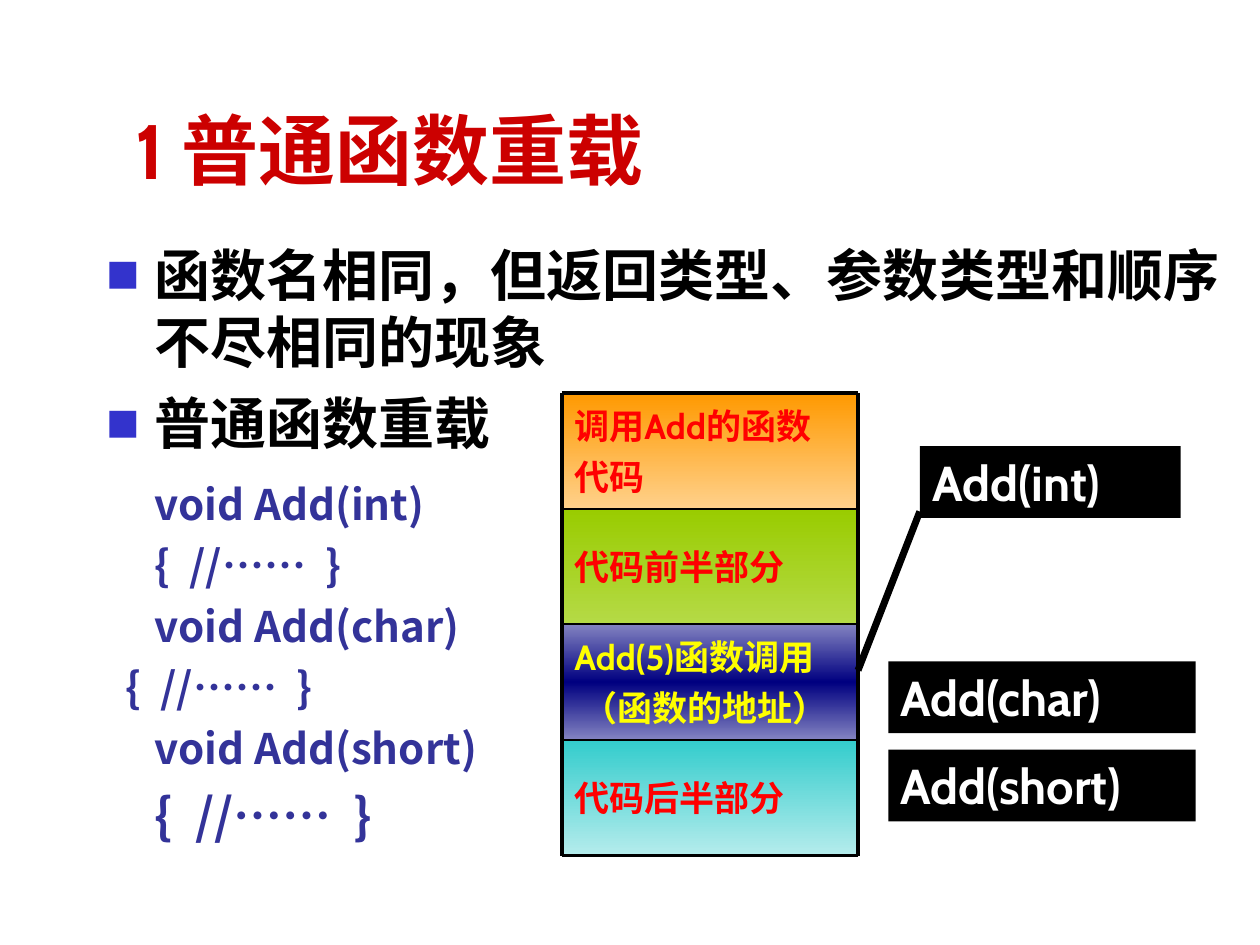
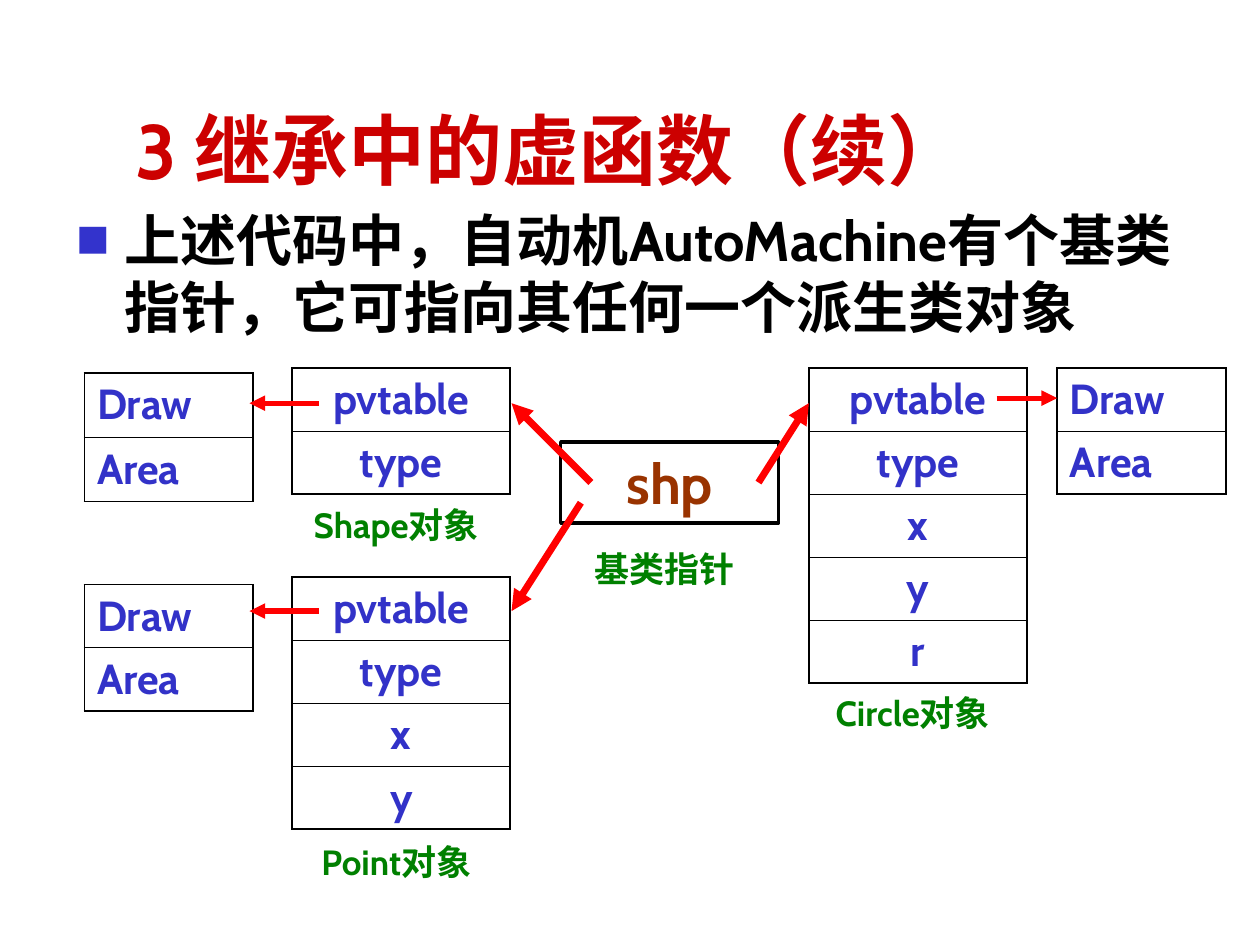
from lxml import etree
from pptx import Presentation
from pptx.dml.color import RGBColor
from pptx.enum.shapes import MSO_CONNECTOR, MSO_SHAPE
from pptx.enum.text import MSO_ANCHOR, PP_ALIGN
from pptx.oxml.ns import qn
from pptx.util import Inches, Pt

RECTANGLE = MSO_SHAPE.RECTANGLE
STRAIGHT = MSO_CONNECTOR.STRAIGHT
TOP, MIDDLE, BOTTOM = MSO_ANCHOR.TOP, MSO_ANCHOR.MIDDLE, MSO_ANCHOR.BOTTOM
LEFT, CENTER, JUSTIFY = PP_ALIGN.LEFT, PP_ALIGN.CENTER, PP_ALIGN.JUSTIFY

LATIN, HAN = "Cabin", "Noto Sans CJK SC"
COLORS = {
    "title": "CC0000", "text": "000000", "bullet": "3333CC", "code": "333399",
    "field": "3232C8", "label": "008000", "pointer": "993300",
    "arrow": "FF0000", "line": "000000", "white": "FFFFFF",
    "red": "FF0000", "yellow": "FFFF00",
}
HANG = 0.38  # inches of hanging indent in the body text


def rgb(name):
    return RGBColor.from_string(COLORS[name])


def style(para, size, color, font=LATIN, align=LEFT, before=0):
    para.alignment = align
    para.space_before = Pt(before)
    for span in para.runs:
        span.font.size = Pt(size)
        span.font.bold = True
        span.font.name = font
        span.font.color.rgb = rgb(color)
        etree.SubElement(span._r.get_or_add_rPr(), qn("a:ea"), typeface=HAN)


def write(frame, text, size, color, align=LEFT, anchor=TOP, before=0):
    frame.word_wrap = True
    frame.vertical_anchor = anchor
    frame.text = text
    for para in frame.paragraphs:
        style(para, size, color, align=align, before=before)


def add_text(page, box, text, size, color, **layout):
    area = page.shapes.add_textbox(*map(Inches, box))
    write(area.text_frame, text, size, color, **layout)


def add_rectangle(page, box):
    shape = page.shapes.add_shape(RECTANGLE, *map(Inches, box))
    shape.shadow.inherit = False
    shape.line.fill.background()
    return shape


def add_line(page, start, end, width, color="line", arrow=False):
    line = page.shapes.add_connector(STRAIGHT, *map(Inches, (*start, *end)))
    line.line.width = Pt(width)
    line.line.color.rgb = rgb(color)
    if arrow:
        etree.SubElement(line.line._get_or_add_ln(), qn("a:tailEnd"), type="triangle")
    etree.SubElement(line._element.spPr, qn("a:effectLst"))


def add_title(page, text):
    add_text(page, (0.98, 0.6, 8.52, 1), text, 44, "title", anchor=BOTTOM)


def indent(para, first_line=0.0):
    properties = para._p.get_or_add_pPr()
    properties.set("marL", str(Inches(HANG)))
    properties.set("indent", str(Inches(first_line)))
    return properties


def add_bullet(para):
    properties = indent(para, -HANG)
    color = etree.SubElement(properties, qn("a:buClr"))
    etree.SubElement(color, qn("a:srgbClr"), val=COLORS["bullet"])
    etree.SubElement(properties, qn("a:buSzPct"), val="60000")
    etree.SubElement(properties, qn("a:buFont"), typeface=HAN)
    etree.SubElement(properties, qn("a:buChar"), char="■")


def add_body(page, box, bullets, font, code=()):
    """Bulleted text, then code lines given as (text, size, space before, first-line indent)."""
    frame = page.shapes.add_textbox(*map(Inches, box)).text_frame
    frame.word_wrap = True
    frame.text = "\n".join([*bullets, *(line[0] for line in code)])
    paragraphs = frame.paragraphs
    for para in paragraphs[:len(bullets)]:
        style(para, 32, "text", font, before=8)
        add_bullet(para)
    for para, (_, size, before, first_line) in zip(paragraphs[len(bullets):], code):
        style(para, size, "code", font, before=before)
        indent(para, first_line)


def fill_gradient(shape, colors):
    """Spread the colours evenly from top to bottom."""
    shape.fill.gradient()
    shape.fill.gradient_angle = 270
    stops = shape._element.spPr.find(".//" + qn("a:gsLst"))
    for stop in list(stops):
        stops.remove(stop)
    for index, color in enumerate(colors):
        position = 100000 * index // (len(colors) - 1)
        stop = etree.SubElement(stops, qn("a:gs"), pos=str(position))
        etree.SubElement(stop, qn("a:srgbClr"), val=color)


def add_code_stack(page, box, segments):
    left, top, width, height = box
    right, bottom = left + width, top + height
    step = height / len(segments)
    for index, (text, color, gradient) in enumerate(segments):
        segment = add_rectangle(page, (left, top + index * step, width, step))
        fill_gradient(segment, gradient)
        write(segment.text_frame, text, 20, color, anchor=MIDDLE, before=5)
    for index in range(len(segments) + 1):
        y = top + index * step
        add_line(page, (left, y), (right, y), 2.25 if index in (0, len(segments)) else 1)
    for x in (left, right):
        add_line(page, (x, top), (x, bottom), 2.25)


def add_function_label(page, box, text):
    label = add_rectangle(page, box)
    label.fill.solid()
    label.fill.fore_color.rgb = rgb("line")
    write(label.text_frame, text, 28, "white", align=JUSTIFY)


def set_border(cell, side, width):
    border = etree.SubElement(cell._tc.get_or_add_tcPr(), qn("a:ln" + side), w=str(Pt(width)))
    fill = etree.SubElement(border, qn("a:solidFill"))
    etree.SubElement(fill, qn("a:srgbClr"), val=COLORS["line"])


def add_field_table(page, left, top, width, fields, align=LEFT, row_height=0.5):
    box = (left, top, width, row_height * len(fields))
    table = page.shapes.add_table(len(fields), 1, *map(Inches, box)).table
    table.first_row = table.horz_banding = False
    last = len(fields) - 1
    for index, field in enumerate(fields):
        cell = table.cell(index, 0)
        write(cell.text_frame, field, 24, "field", align=align)
        cell.vertical_anchor = TOP
        widths = {"L": 1.08, "R": 1.08,
                  "T": 1.08 if index == 0 else 0.45,
                  "B": 1.08 if index == last else 0.45}
        for side, border_width in widths.items():
            set_border(cell, side, border_width)
        cell.fill.background()


def add_caption(page, left, top, text):
    add_text(page, (left, top, 1.81, 0.44), text, 20, "label", align=CENTER)


def add_pointer(page, box):
    pointer = add_rectangle(page, box)
    pointer.fill.background()
    pointer.line.color.rgb = rgb("line")
    pointer.line.width = Pt(2)
    write(pointer.text_frame, "shp", 32, "pointer", align=CENTER)


def build_overloading(page):
    add_title(page, "1 普通函数重载")
    bullets = ["函数名相同，但返回类型、参数类型和顺序不尽相同的现象", "普通函数重载"]
    empty_body = "{  //……  }"
    code = [
        ("void Add(int)", 24, 13, 0), (empty_body, 24, 6, 0),
        ("void Add(char)", 24, 6, 0), (empty_body, 24, 6, -0.23),
        ("void Add(short)", 24, 6, 0), (empty_body, 28, 7, 0),
    ]
    add_body(page, (0.75, 1.86, 9.04, 5.04), bullets, HAN, code)
    add_code_stack(page, (4.46, 3.12, 2.35, 3.67), [
        ("调用Add的函数\n代码", "red", ("FF9900", "FFD18B")),
        ("代码前半部分", "red", ("99CC00", "B5DA46")),
        ("Add(5)函数调用\n （函数的地址）", "yellow", ("8383C1", "000080", "8383C1")),
        ("代码后半部分", "red", ("33CCCC", "B5ECEC")),
    ])
    add_function_label(page, (7.3, 3.54, 2.07, 0.57), "Add(int)")
    add_function_label(page, (7.05, 5.25, 2.44, 0.57), "Add(char)")
    add_function_label(page, (7.05, 5.95, 2.44, 0.57), "Add(short)")
    add_line(page, (6.81, 5.32), (7.3, 4.06), 4)


def build_virtual_functions(page):
    add_title(page, "3 继承中的虚函数（续）")
    add_body(page, (0.51, 1.58, 9.05, 4.85),
             ["上述代码中，自动机AutoMachine有个基类指针，它可指向其任何一个派生类对象"], LATIN)

    methods = ["Draw", "Area"]
    for left, top, row_height in ((0.67, 2.96, 0.51), (8.39, 2.92, 0.5), (0.67, 4.64, 0.5)):
        add_field_table(page, left, top, 1.34, methods, row_height=row_height)

    fields = ["pvtable", "type", "x", "y", "r"]
    objects = [("Shape对象", 2.32, 2.92, 2, 3.95), ("Point对象", 2.32, 4.58, 4, 6.62),
               ("Circle对象", 6.42, 2.92, 5, 5.44)]
    for caption, left, top, count, caption_top in objects:
        add_field_table(page, left, top, 1.73, fields[:count], CENTER)
        add_caption(page, left - 0.08, caption_top, caption)

    add_pointer(page, (4.45, 3.51, 1.73, 0.64))
    add_caption(page, 4.37, 4.3, "基类指针")

    table_arrows = [((2.53, 3.2), (1.98, 3.2)), ((7.91, 3.16), (8.39, 3.16)),
                    ((2.53, 4.85), (1.98, 4.85))]
    object_arrows = [((4.69, 3.83), (4.06, 3.2)), ((6.02, 3.83), (6.42, 3.2)),
                     ((4.61, 3.99), (4.06, 4.85))]
    for width, arrows in ((3, table_arrows), (4, object_arrows)):
        for start, end in arrows:
            add_line(page, start, end, width, "arrow", arrow=True)


def main():
    deck = Presentation()
    deck.slide_width, deck.slide_height = Inches(10), Inches(7.5)
    for build in (build_overloading, build_virtual_functions):
        build(deck.slides.add_slide(deck.slide_layouts[6]))
    deck.save("out.pptx")


if __name__ == "__main__":
    main()
